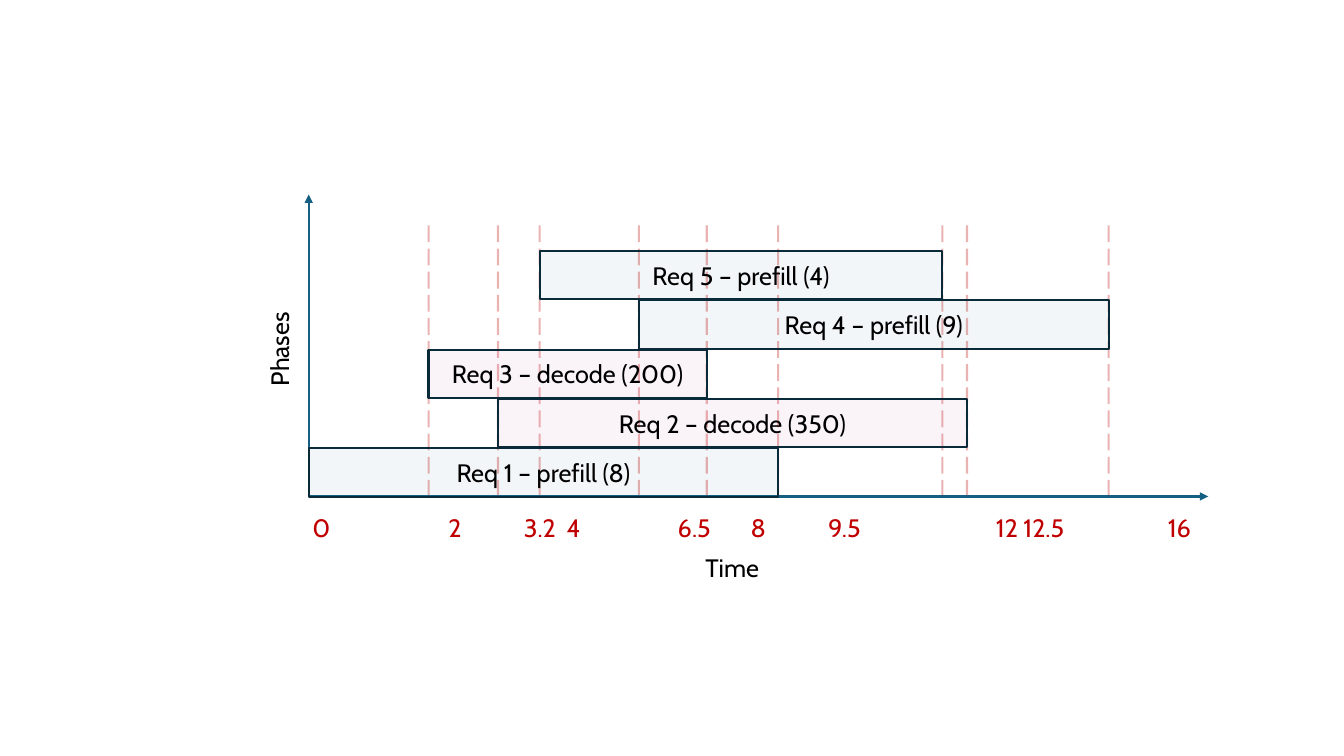
from lxml import etree
from pptx import Presentation
from pptx.dml.color import RGBColor
from pptx.enum import dml, shapes, text
from pptx.oxml.ns import qn
from pptx.util import Cm, Pt

COLORS = {"prefill": "156082", "decode": "A02B93", "bar_line": "092A39",
          "axis": "156082", "guide": "C00000", "tick": "C00000", "text": "000000"}
FONT = {"name": "Cabin", "size": Pt(18)}

# Lengths in cm. Requests run from the bottom row up: number, phase, tokens, left, right
REQUESTS = [
    (1, "prefill", 8, 7.78, 19.61),
    (2, "decode", 350, 12.55, 24.37),
    (3, "decode", 200, 10.8, 17.81),
    (4, "prefill", 9, 16.1, 27.94),
    (5, "prefill", 4, 13.6, 23.75),
]
# Tick label and its left edge on the slide
TICKS = [("0", 7.87), ("2", 11.3), ("3.2", 13.2), ("4", 14.28), ("6.5", 17.08),
         ("8", 18.92), ("9.5", 20.87), ("12", 25.1), ("12.5", 25.79), ("16", 29.43)]
# Text, left, top, width, height, rotation
AXIS_TITLES = [("Time", 17.53, 13.79, 1.85, 1.02, 0),
               ("Phases", 5.77, 8.2, 2.54, 1.02, 270)]
ORIGIN_X, ORIGIN_Y = 7.78, 12.51
AXIS_ENDS = [(ORIGIN_X, 4.9), (30.45, ORIGIN_Y)]
GUIDE_TOP = 5.68
FIRST_ROW_TOP, ROW_STEP, BAR_HEIGHT = 11.3, 1.245, 1.22
TICK_BOX = (5.87, 12.78, 24.54, 1.02)
INSET = 0.25


def set_alpha(fill, percent):
    color = fill._xPr.find(qn("a:solidFill"))[0]
    etree.SubElement(color, qn("a:alpha"), val=str(percent * 1000))


def add_line(slide, x1, y1, x2, y2, color):
    cn = slide.shapes.add_connector(
        shapes.MSO_CONNECTOR.STRAIGHT, Cm(x1), Cm(y1), Cm(x2), Cm(y2))
    cn.line.width = Pt(1.5)
    cn.line.color.rgb = RGBColor.from_string(COLORS[color])
    etree.SubElement(cn._element.spPr, qn("a:effectLst"))
    return cn


def write(sp, words, color="text", wrap=True):
    tf = sp.text_frame
    tf.word_wrap = wrap
    p = tf.paragraphs[0]
    r = p.add_run()
    r.text = words
    for key, value in FONT.items():
        setattr(r.font, key, value)
    r.font.color.rgb = RGBColor.from_string(COLORS[color])
    return p


def add_guides(slide):
    """Draw a dashed line at each start and end of a request off the axis."""
    edges = {x for request in REQUESTS for x in request[3:]} - {ORIGIN_X}
    for x in sorted(edges):
        cn = add_line(slide, x, GUIDE_TOP, x, ORIGIN_Y, "guide")
        cn.line.dash_style = dml.MSO_LINE.LONG_DASH
        set_alpha(cn.line.fill, 30)


def add_axes(slide):
    for x, y in AXIS_ENDS:
        cn = add_line(slide, ORIGIN_X, ORIGIN_Y, x, y, "axis")
        etree.SubElement(cn.line._get_or_add_ln(), qn("a:tailEnd"), type="triangle")


def add_bars(slide):
    for row, (number, phase, tokens, left, right) in enumerate(REQUESTS):
        top = FIRST_ROW_TOP - row * ROW_STEP
        sp = slide.shapes.add_shape(shapes.MSO_SHAPE.RECTANGLE, Cm(left), Cm(top),
                                    Cm(right - left), Cm(BAR_HEIGHT))
        sp.shadow.inherit = False
        sp.fill.solid()
        sp.fill.fore_color.rgb = RGBColor.from_string(COLORS[phase])
        set_alpha(sp.fill, 5)
        sp.line.color.rgb = RGBColor.from_string(COLORS["bar_line"])
        sp.line.width = Pt(1.5)
        p = write(sp, f"Req {number} – {phase} ({tokens})")
        p.alignment = text.PP_ALIGN.CENTER
        sp.text_frame.vertical_anchor = text.MSO_ANCHOR.MIDDLE


def add_axis_titles(slide):
    for words, left, top, width, height, rotation in AXIS_TITLES:
        sp = slide.shapes.add_textbox(Cm(left), Cm(top), Cm(width), Cm(height))
        sp.rotation = rotation
        write(sp, words, wrap=False)


def add_ticks(slide):
    """Set the tick labels in one line, each on its own tab stop."""
    sp = slide.shapes.add_textbox(*map(Cm, TICK_BOX))
    p = write(sp, "".join("\t" + label for label, _ in TICKS), "tick")
    tabs = etree.SubElement(p._p.get_or_add_pPr(), qn("a:tabLst"))
    for _, x in TICKS:
        etree.SubElement(tabs, qn("a:tab"), pos=str(Cm(x - TICK_BOX[0] - INSET)), algn="l")


def main():
    prs = Presentation()
    prs.slide_width, prs.slide_height = Cm(33.87), Cm(19.05)
    slide = prs.slides.add_slide(prs.slide_layouts[6])
    for add_part in (add_guides, add_axes, add_bars, add_axis_titles, add_ticks):
        add_part(slide)
    prs.save("out.pptx")


if __name__ == "__main__":
    main()
